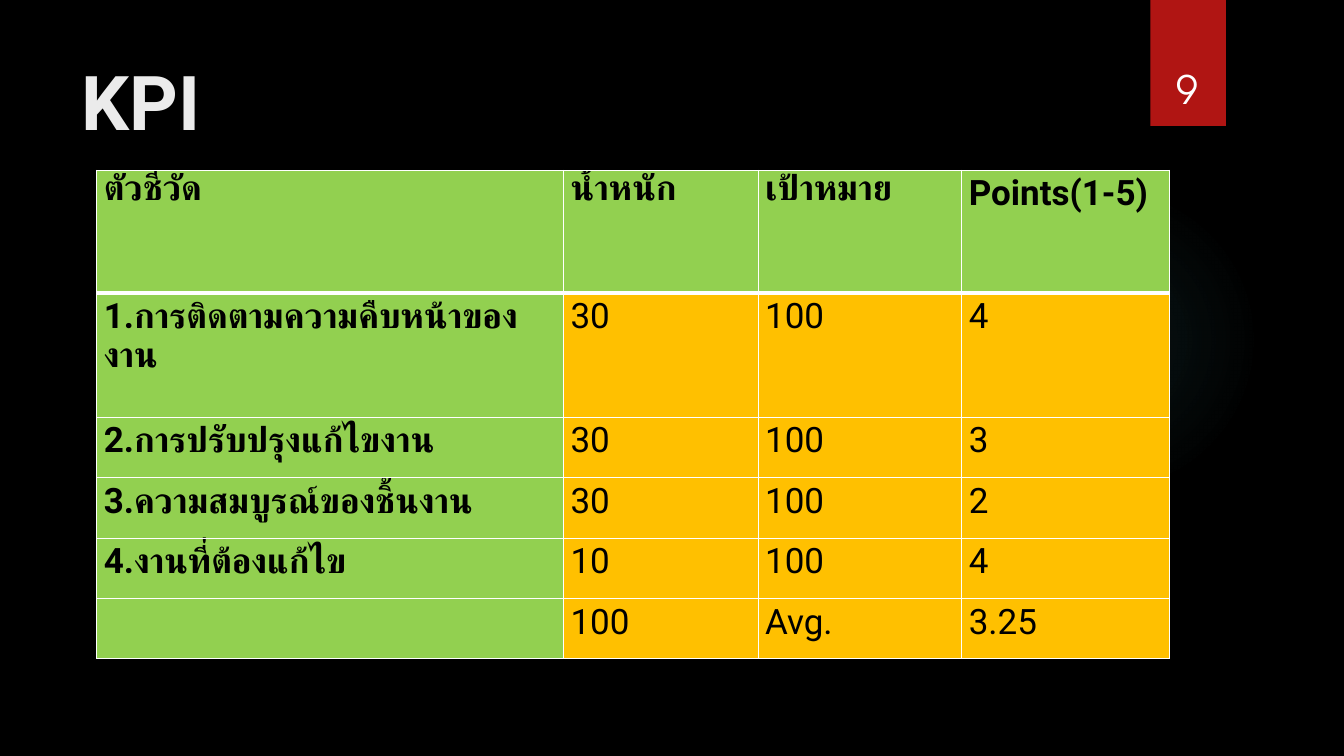
from lxml import etree
from pptx import Presentation
from pptx.dml.color import RGBColor
from pptx.enum import shapes, text
from pptx.oxml import ns
from pptx.util import Inches, Pt

# Content
TITLE = "KPI"
PAGE = "9"
ROWS = [
    ("ตัวชี้วัด", "น้ำหนัก", "เป้าหมาย", "Points(1-5)"),
    ("1.การติดตามความคืบหน้าของงาน", "30", "100", "4"),
    ("2.การปรับปรุงแก้ไขงาน", "30", "100", "3"),
    ("3.ความสมบูรณ์ของชิ้นงาน", "30", "100", "2"),
    ("4.งานที่ต้องแก้ไข", "10", "100", "4"),
    ("", "100", "Avg.", "3.25"),
]
WIDTHS = [4.63, 1.93, 2.02, 2.06]
HEIGHTS = [1.22, 1.23, 0.6, 0.6, 0.6, 0.59]
GLOW = [(0, 7), (36, 6), (69, 0)]  # stop and opacity, percent

# Style
BLACK = RGBColor(0x00, 0x00, 0x00)
WHITE = RGBColor(0xFF, 0xFF, 0xFF)
PALE = RGBColor(0xEB, 0xEB, 0xEB)
RED = RGBColor(0xB0, 0x15, 0x13)
TEAL = RGBColor(0x50, 0xB9, 0xC1)
GREEN = RGBColor(0x92, 0xD0, 0x50)
AMBER = RGBColor(0xFF, 0xC0, 0x00)
SANS = "Roboto"
ROUND = "TeX Gyre Adventor"


def node(up, tag, **attrs):
    item = etree.SubElement(up, ns.qn("a:" + tag))
    for key, val in attrs.items():
        item.set(key, str(val))
    return item


def tint(up, color, alpha=100):
    item = node(up, "srgbClr", val=color)
    if alpha < 100:
        node(item, "alpha", val=alpha * 1000)


def write(frame, words, size, color, font=SANS, bold=False, align=None, space=None):
    para = frame.paragraphs[0]
    para.alignment = align
    para.line_spacing = space
    run = para.add_run()
    run.text = words
    run.font.size = Pt(size)
    run.font.name = font
    run.font.bold = bold
    run.font.color.rgb = color


def plain(kind, *box):
    shape = slide.shapes.add_shape(kind, *map(Inches, box))
    shape.shadow.inherit = False
    shape.line.fill.background()
    return shape


def label(box, words, anchor, **style):
    frame = slide.shapes.add_textbox(*map(Inches, box)).text_frame
    frame.word_wrap = True
    frame.vertical_anchor = anchor
    write(frame, words, **style)


def border(cell, top, bottom):
    props = cell._tc.get_or_add_tcPr()
    sides = {"lnL": 1, "lnR": 1, "lnT": top, "lnB": bottom}
    for spot, (tag, width) in enumerate(sides.items()):
        line = node(props, tag, w=Pt(width))
        tint(node(line, "solidFill"), WHITE)
        props.insert(spot, line)


# Slide
deck = Presentation()
deck.slide_width, deck.slide_height = Inches(13.33), Inches(7.5)
slide = deck.slides.add_slide(deck.slide_layouts[6])
slide.background.fill.solid()
slide.background.fill.fore_color.rgb = BLACK

# Soft glow
glow = plain(shapes.MSO_SHAPE.OVAL, 9.41, 1.83, 3.08, 3.08)
glow.fill.gradient()
grad = glow._element.spPr.find(ns.qn("a:gradFill"))
for part in list(grad):
    grad.remove(part)
stops = node(grad, "gsLst")
for place, alpha in GLOW:
    tint(node(stops, "gs", pos=place * 1000), TEAL, alpha)
node(node(grad, "path", path="circle"), "fillToRect",
     l=50000, t=50000, r=50000, b=50000)

# Page tab
tab = plain(shapes.MSO_SHAPE.RECTANGLE, 11.41, 0, 0.75, 1.25)
tab.fill.solid()
tab.fill.fore_color.rgb = RED
effect = tab._element.spPr.find(ns.qn("a:effectLst"))
shade = node(effect, "outerShdw", blurRad=Pt(3), dist=Pt(2), dir=90 * 60000)
tint(shade, BLACK, 45)

# Title
label((0.71, 0.5, 10.29, 1.53), TITLE, text.MSO_ANCHOR.TOP,
      size=54, color=PALE, bold=True)

# Score table
table = slide.shapes.add_table(
    len(ROWS), len(WIDTHS), Inches(0.96), Inches(1.69),
    Inches(sum(WIDTHS)), Inches(sum(HEIGHTS))).table
table.first_row = table.horz_banding = False
for col, width in zip(table.columns, WIDTHS):
    col.width = Inches(width)
for r, (row, high) in enumerate(zip(ROWS, HEIGHTS)):
    table.rows[r].height = Inches(high)
    for c, words in enumerate(row):
        cell = table.cell(r, c)
        head = r == 0 or c == 0
        cell.margin_left = cell.margin_right = Inches(0.07)
        cell.margin_top = cell.margin_bottom = 0
        cell.fill.solid()
        cell.fill.fore_color.rgb = GREEN if head else AMBER
        border(cell, 3 if r == 1 else 1, 3 if r == 0 else 1)
        if words:
            write(cell.text_frame, words, 25, BLACK, bold=head, space=1.07)

# Page number
label((11.32, 0.32, 0.92, 0.84), PAGE, text.MSO_ANCHOR.BOTTOM,
      size=28, color=WHITE, font=ROUND, align=text.PP_ALIGN.CENTER)

deck.save("out.pptx")
